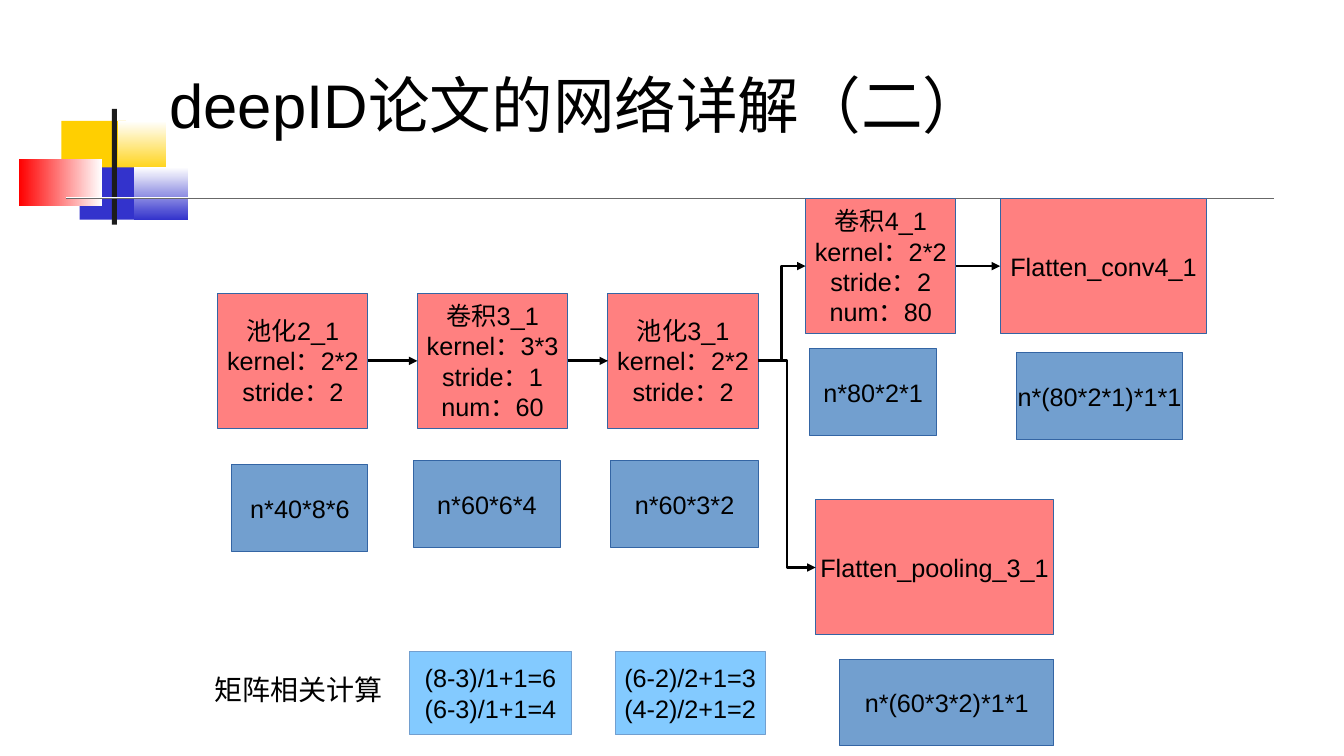
from dataclasses import dataclass

import pptx
import pptx.dml.color
import pptx.enum.shapes
import pptx.enum.text
import pptx.oxml
import pptx.oxml.ns
import pptx.shapes.autoshape
import pptx.shapes.connector
import pptx.shapes.shapetree
import pptx.text.text
import pptx.util

Inches = pptx.util.Inches
ALIGN = pptx.enum.text.PP_ALIGN
ANCHOR = pptx.enum.text.MSO_ANCHOR
CONNECTOR = pptx.enum.shapes.MSO_CONNECTOR
RECTANGLE = pptx.enum.shapes.MSO_SHAPE.RECTANGLE
Shapes = pptx.shapes.shapetree.SlideShapes
Shape = pptx.shapes.autoshape.Shape
RIGHT_SITE, LEFT_SITE = 3, 1


@dataclass(frozen=True)
class Theme:
    font: str = "Arial"
    title_size: int = 44
    label_size: int = 20
    body_size: int = 18
    text: str = "000000"
    arrow: str = "000000"
    white: str = "FFFFFF"
    yellow: str = "FFCF01"
    blue: str = "3333CC"
    red: str = "FF0000"
    dark: str = "1C1C1C"


@dataclass(frozen=True)
class BlockStyle:
    fill: str
    line: str
    height: float


@dataclass(frozen=True)
class Block:
    text: str
    left: float
    top: float
    width: float


@dataclass(frozen=True)
class Ornament:
    """A decorative bar; with an angle it fades from start to end."""
    left: float
    top: float
    width: float
    height: float
    start: str
    end: str = ""
    angle: int = 0


THEME = Theme()
LAYER = BlockStyle("FF8080", "3465A4", 1.34)
OUTPUT = BlockStyle("729FCF", "3465A4", 0.86)
FORMULA = BlockStyle("83CAFF", "729FCF", 0.83)

ORNAMENTS = [
    Ornament(0.61, 1.2, 0.64, 0.52, THEME.yellow),
    Ornament(1.17, 1.2, 0.48, 0.52, THEME.yellow, THEME.white, 90),
    Ornament(0.79, 1.66, 0.62, 0.52, THEME.blue),
    Ornament(1.33, 1.66, 0.54, 0.52, THEME.blue, THEME.white, 90),
    Ornament(0.19, 1.58, 0.82, 0.46, THEME.white, THEME.red, 180),
    Ornament(1.11, 1.08, 0.05, 1.15, THEME.dark),
    Ornament(0.65, 1.95, 11.99, 0.03, THEME.dark, THEME.white, 90),
]

MAIN_TOP, BRANCH_TOP, LAYER_WIDTH = 2.91, 1.97, 1.49
LAYERS = {
    "pool2": Block("池化2_1\nkernel：2*2\nstride：2", 2.16, MAIN_TOP, LAYER_WIDTH),
    "conv3": Block("卷积3_1\nkernel：3*3\nstride：1\nnum：60", 4.14, MAIN_TOP, LAYER_WIDTH),
    "pool3": Block("池化3_1\nkernel：2*2\nstride：2", 6.03, MAIN_TOP, LAYER_WIDTH),
    "conv4": Block("卷积4_1\nkernel：2*2\nstride：2\nnum：80", 7.99, BRANCH_TOP, LAYER_WIDTH),
    "flat_conv": Block("Flatten_conv4_1", 9.92, BRANCH_TOP, 2.05),
    "flat_pool": Block("Flatten_pooling_3_1", 8.09, 4.96, 2.36),
}
OUTPUTS = [
    Block("n*40*8*6", 2.3, 4.61, 1.35),
    Block("n*60*6*4", 4.1, 4.57, 1.46),
    Block("n*60*3*2", 6.06, 4.57, 1.46),
    Block("n*80*2*1", 8.03, 3.46, 1.26),
    Block("n*(80*2*1)*1*1", 10.08, 3.5, 1.65),
    Block("n*(60*3*2)*1*1", 8.33, 6.54, 2.12),
]
FORMULAS = [
    Block("(8-3)/1+1=6\n(6-3)/1+1=4", 4.06, 6.46, 1.61),
    Block("(6-2)/2+1=3\n(4-2)/2+1=2", 6.1, 6.46, 1.49),
]
FLOWS = [
    ("pool2", "conv3", CONNECTOR.STRAIGHT),
    ("conv3", "pool3", CONNECTOR.STRAIGHT),
    ("pool3", "conv4", CONNECTOR.ELBOW),
    ("pool3", "flat_pool", CONNECTOR.ELBOW),
    ("conv4", "flat_conv", CONNECTOR.STRAIGHT),
]


def rgb(value: str) -> pptx.dml.color.RGBColor:
    return pptx.dml.color.RGBColor.from_string(value)


def write(frame: pptx.text.text.TextFrame, text: str, *, size: int = THEME.body_size,
          align: ALIGN = ALIGN.LEFT, anchor: ANCHOR = ANCHOR.TOP,
          wrap: bool = True, inset: tuple[float, float] = (0.1, 0.05)) -> None:
    """Fill a frame, one paragraph per line; inset is horizontal, vertical."""
    frame.text = text
    frame.word_wrap = wrap
    frame.vertical_anchor = anchor
    frame.margin_left = frame.margin_right = Inches(inset[0])
    frame.margin_top = frame.margin_bottom = Inches(inset[1])
    for paragraph in frame.paragraphs:
        paragraph.alignment = align
        for run in paragraph.runs:
            run.font.name = THEME.font
            run.font.size = pptx.util.Pt(size)
            run.font.color.rgb = rgb(THEME.text)


def add_rectangle(shapes: Shapes, left: float, top: float,
                  width: float, height: float) -> Shape:
    rectangle = shapes.add_shape(RECTANGLE, Inches(left), Inches(top),
                                 Inches(width), Inches(height))
    rectangle.shadow.inherit = False
    return rectangle


def add_ornament(shapes: Shapes, ornament: Ornament) -> None:
    bar = add_rectangle(shapes, ornament.left, ornament.top,
                        ornament.width, ornament.height)
    bar.line.fill.background()
    if ornament.end:
        bar.fill.gradient()
        bar.fill.gradient_angle = ornament.angle
        for stop, color in zip(bar.fill.gradient_stops, (ornament.start, ornament.end)):
            stop.color.rgb = rgb(color)
    else:
        bar.fill.solid()
        bar.fill.fore_color.rgb = rgb(ornament.start)


def add_block(shapes: Shapes, block: Block, style: BlockStyle) -> Shape:
    box = add_rectangle(shapes, block.left, block.top, block.width, style.height)
    box.fill.solid()
    box.fill.fore_color.rgb = rgb(style.fill)
    box.line.color.rgb = rgb(style.line)
    box.line.width = pptx.util.Pt(0)
    write(box.text_frame, block.text, align=ALIGN.CENTER, anchor=ANCHOR.MIDDLE, wrap=False)
    return box


def add_flow(shapes: Shapes, source: Shape, target: Shape, kind: CONNECTOR) -> None:
    arrow = shapes.add_connector(kind, 0, 0, 0, 0)
    arrow.begin_connect(source, RIGHT_SITE)
    arrow.end_connect(target, LEFT_SITE)
    arrow.line.color.rgb = rgb(THEME.arrow)
    arrow.line.width = pptx.util.Pt(0)
    outline = arrow.line._get_or_add_ln()
    outline.append(pptx.oxml.parse_xml(
        f'<a:tailEnd {pptx.oxml.ns.nsdecls("a")} type="triangle"/>'))
    outline.addnext(pptx.oxml.parse_xml(
        f'<a:effectLst {pptx.oxml.ns.nsdecls("a")}/>'))


def main() -> None:
    presentation = pptx.Presentation()
    presentation.slide_width = Inches(13.33)
    presentation.slide_height = Inches(7.5)
    shapes = presentation.slides.add_slide(presentation.slide_layouts[6]).shapes

    for ornament in ORNAMENTS:
        add_ornament(shapes, ornament)
    title = shapes.add_textbox(Inches(1.68), Inches(0.23), Inches(11.36), Inches(1.6))
    write(title.text_frame, "deepID论文的网络详解（二）", size=THEME.title_size,
          anchor=ANCHOR.MIDDLE, inset=(0, 0))

    layers = {name: add_block(shapes, block, LAYER) for name, block in LAYERS.items()}
    for blocks, style in ((OUTPUTS, OUTPUT), (FORMULAS, FORMULA)):
        for block in blocks:
            add_block(shapes, block, style)
    calculation = shapes.add_textbox(Inches(2.03), Inches(6.62), Inches(1.87), Inches(0.39))
    write(calculation.text_frame, "矩阵相关计算", size=THEME.label_size)
    for source, target, kind in FLOWS:
        add_flow(shapes, layers[source], layers[target], kind)

    presentation.save("out.pptx")


if __name__ == "__main__":
    main()
